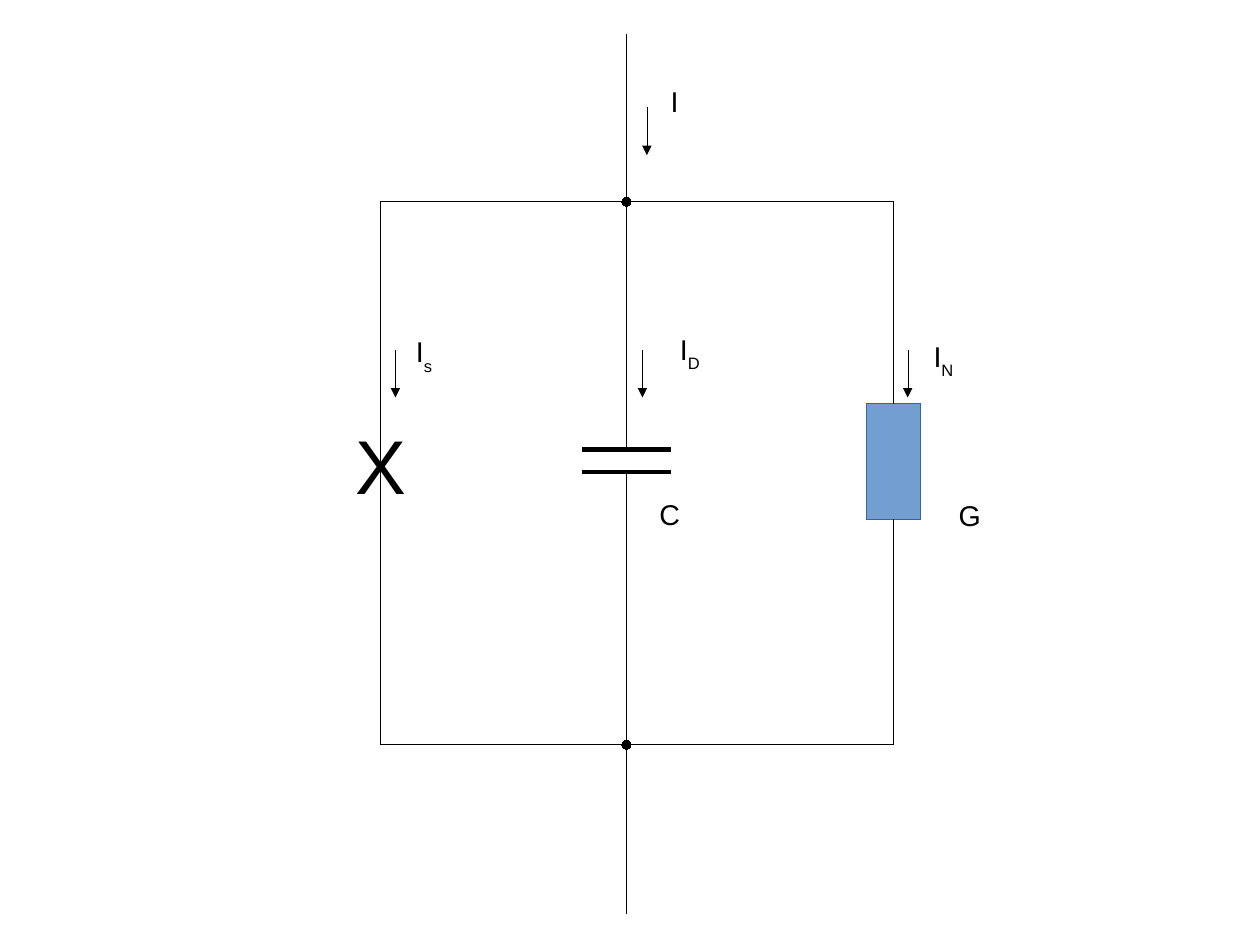
from lxml.etree import SubElement
from pptx import Presentation
from pptx.dml.color import RGBColor
from pptx.enum.shapes import MSO_CONNECTOR, MSO_SHAPE
from pptx.enum.text import MSO_AUTO_SIZE
from pptx.oxml.ns import qn
from pptx.util import Pt

BLACK = RGBColor(0x00, 0x00, 0x00)
BLUE = RGBColor(0x72, 0x9F, 0xCF)
DARK_BLUE = RGBColor(0x34, 0x65, 0xA4)

SLIDE_WIDTH, SLIDE_HEIGHT = 793.7, 595.28
JUNCTION_X, CAPACITOR_X, CONDUCTANCE_X = 239.8, 394.6, 562.8
TOP_RAIL, BOTTOM_RAIL = 127.1, 469.1
SUPPLY_TOP, SUPPLY_BOTTOM = 21.6, 575.3
PLATES_Y = (283, 297.4)
PLATE_LENGTH, PLATE_WEIGHT = 56.2, 2.89
NODE_SIZE = 5.8
CONDUCTANCE_WIDTH, CONDUCTANCE_HEIGHT, CONDUCTANCE_TOP = 34, 72.8, 254.2
ARROW_LENGTH = 30

# x, top of each current arrow
ARROWS = [(407.5, 67.7), (249.1, 220.4), (404.7, 220.4), (571.8, 220.4)]

# text, subscript, left, top, width, height, size
LABELS = [
    ("X", "", 216.7, 259.9, 43.9, 60.5, 48),
    ("I", "", 415.4, 49.4, 85, 27.4, 18),
    ("I", "s", 254.9, 207.1, 67.7, 31.7, 18),
    ("I", "D", 421.2, 205.6, 67.7, 31.7, 18),
    ("I", "N", 581, 209.9, 67.7, 31.7, 18),
    ("C", "", 408.2, 309.3, 56.9, 27.4, 18),
    ("G", "", 596.7, 310, 56.9, 27.4, 18),
]


def set_line(line, color, weight=0):
    """Colour the line; a weight of zero is written out as a hairline."""
    line.color.rgb = color
    line._get_or_add_ln().set("w", str(Pt(weight)))


def add_line(slide, start, end, weight=0, arrow=False):
    connector = slide.shapes.add_connector(
        MSO_CONNECTOR.STRAIGHT, *(Pt(value) for value in (*start, *end)))
    set_line(connector.line, BLACK, weight)
    if arrow:
        SubElement(connector.line._get_or_add_ln(), qn("a:tailEnd"), type="triangle")
    SubElement(connector._element.spPr, qn("a:effectLst"))
    return connector


def add_centred_shape(slide, kind, centre_x, top, width, height, fill, outline):
    shape = slide.shapes.add_shape(
        kind, Pt(centre_x - width / 2), Pt(top), Pt(width), Pt(height))
    shape.shadow.inherit = False
    shape.fill.solid()
    shape.fill.fore_color.rgb = fill
    set_line(shape.line, outline)
    return shape


def add_label(slide, text, *, subscript, left, top, width, height, size):
    box = slide.shapes.add_textbox(Pt(left), Pt(top), Pt(width), Pt(height))
    frame = box.text_frame
    frame.word_wrap = True
    frame.auto_size = MSO_AUTO_SIZE.SHAPE_TO_FIT_TEXT
    paragraph = frame.paragraphs[0]
    for content, baseline in ((text, 0), (subscript, -33000)):
        if not content:
            continue
        run = paragraph.add_run()
        run.text = content
        run.font.name = "Arial"
        run.font.size = Pt(size)
        run.font.color.rgb = BLACK
        if baseline:
            run._r.get_or_add_rPr().set("baseline", str(baseline))


def main():
    presentation = Presentation()
    presentation.slide_width = Pt(SLIDE_WIDTH)
    presentation.slide_height = Pt(SLIDE_HEIGHT)
    slide = presentation.slides.add_slide(presentation.slide_layouts[6])

    add_line(slide, (JUNCTION_X, TOP_RAIL), (JUNCTION_X, BOTTOM_RAIL))

    conductance = add_centred_shape(
        slide, MSO_SHAPE.RECTANGLE, CONDUCTANCE_X, CONDUCTANCE_TOP,
        CONDUCTANCE_WIDTH, CONDUCTANCE_HEIGHT, BLUE, DARK_BLUE)
    conductance_bottom = CONDUCTANCE_TOP + CONDUCTANCE_HEIGHT

    # rail, outer end of the supply, capacitor plate, conductance side and its site
    halves = [
        (TOP_RAIL, SUPPLY_TOP, PLATES_Y[0], CONDUCTANCE_TOP, 0),
        (BOTTOM_RAIL, SUPPLY_BOTTOM, PLATES_Y[1], conductance_bottom, 2),
    ]
    for rail, supply_end, plate, conductance_side, site in halves:
        add_line(slide, (JUNCTION_X, rail), (CONDUCTANCE_X, rail))
        add_line(slide, (CAPACITOR_X, supply_end), (CAPACITOR_X, rail))
        add_line(slide, (CAPACITOR_X, rail), (CAPACITOR_X, plate))
        add_line(slide, (CAPACITOR_X - PLATE_LENGTH / 2, plate),
                 (CAPACITOR_X + PLATE_LENGTH / 2, plate), weight=PLATE_WEIGHT)
        branch = add_line(slide, (CONDUCTANCE_X, rail),
                          (CONDUCTANCE_X, conductance_side))
        branch.end_connect(conductance, site)
        add_centred_shape(slide, MSO_SHAPE.OVAL, CAPACITOR_X, rail - NODE_SIZE / 2,
                          NODE_SIZE, NODE_SIZE, BLACK, BLACK)

    for x, top in ARROWS:
        add_line(slide, (x, top), (x, top + ARROW_LENGTH), arrow=True)

    for text, subscript, left, top, width, height, size in LABELS:
        add_label(slide, text, subscript=subscript, left=left, top=top,
                  width=width, height=height, size=size)

    presentation.save("out.pptx")


if __name__ == "__main__":
    main()
